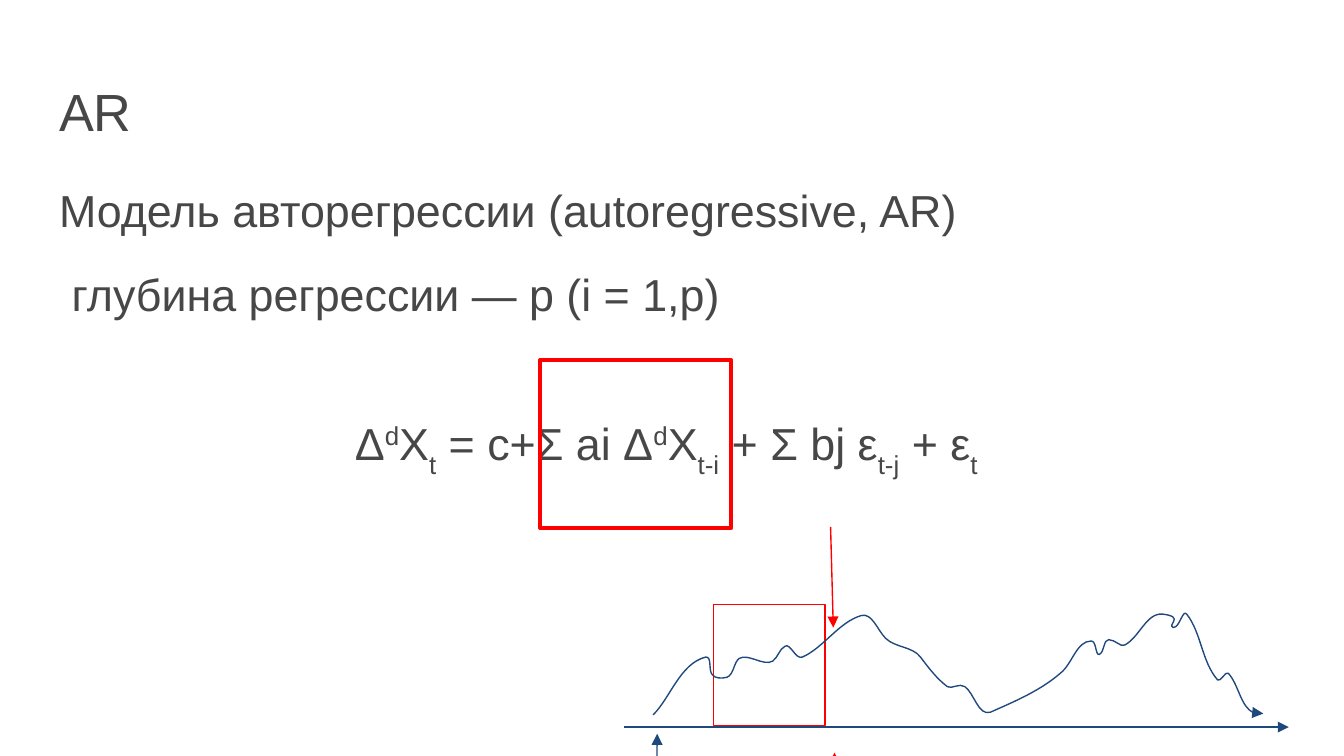
from dataclasses import dataclass

from lxml import etree
from pptx import Presentation
from pptx.dml.color import RGBColor
from pptx.enum.shapes import MSO_CONNECTOR, MSO_SHAPE
from pptx.enum.text import MSO_ANCHOR, MSO_AUTO_SIZE, PP_ALIGN
from pptx.oxml.ns import qn
from pptx.util import Inches, Pt

STRAIGHT = MSO_CONNECTOR.STRAIGHT
RECTANGLE = MSO_SHAPE.RECTANGLE
TOP = MSO_ANCHOR.TOP
NO_AUTOFIT = MSO_AUTO_SIZE.NONE
LEFT = PP_ALIGN.LEFT
UNITS_PER_INCH = 1000


@dataclass(frozen=True)
class Theme:
    font: str = "Arial"
    title_size: float = 28
    body_size: float = 24
    text: RGBColor = RGBColor(0x47, 0x47, 0x47)
    accent: RGBColor = RGBColor(0xFF, 0x00, 0x00)
    series: RGBColor = RGBColor(0x1F, 0x49, 0x7D)
    thin: float = 0.75
    thick: float = 2.25


@dataclass(frozen=True)
class Frame:
    left: float
    top: float
    width: float
    height: float
    weight: float


@dataclass(frozen=True)
class Arrow:
    start: tuple[float, float]
    end: tuple[float, float]
    color: RGBColor


THEME = Theme()

FORMULA = [
    ("Δ", 0), ("d", 33), ("X", 0), ("t", -33), (" = c+Σ ai Δ", 0), ("d", 33),
    ("X", 0), ("t-i", -33), (" + Σ bj ε", 0), ("t-j", -33), (" + ε", 0), ("t", -33),
]

FRAMES = [
    Frame(4.02, 2.68, 1.42, 1.25, THEME.thick),
    Frame(5.31, 4.5, 0.83, 0.9, THEME.thin),
]

ARROWS = [
    Arrow((4.88, 6.35), (4.89, 5.46), THEME.series),
    Arrow((4.64, 5.41), (9.59, 5.41), THEME.series),
    Arrow((6.18, 3.92), (6.2, 4.67), THEME.accent),
    Arrow((6.2, 5.86), (6.21, 5.6), THEME.accent),
]

SERIES_START = (4.86, 5.32)
SERIES_CURVES = [
    (4.99, 5.19, 5.06, 4.94, 5.25, 4.89), (5.3, 4.88, 5.27, 4.99, 5.3, 5.02),
    (5.32, 5.05, 5.37, 5.05, 5.41, 5.04), (5.46, 5.02, 5.46, 4.93, 5.5, 4.9),
    (5.57, 4.86, 5.68, 4.96, 5.75, 4.92), (5.79, 4.89, 5.8, 4.83, 5.84, 4.81),
    (5.88, 4.78, 5.92, 4.91, 5.97, 4.89), (6.13, 4.82, 6.24, 4.63, 6.41, 4.58),
    (6.49, 4.56, 6.53, 4.69, 6.59, 4.75), (6.66, 4.82, 6.79, 4.81, 6.85, 4.89),
    (6.91, 4.97, 6.97, 5.05, 7.05, 5.11), (7.08, 5.13, 7.14, 5.08, 7.18, 5.11),
    (7.25, 5.16, 7.28, 5.33, 7.37, 5.3), (7.55, 5.22, 7.74, 5.14, 7.89, 5.01),
    (7.98, 4.94, 8.01, 4.77, 8.12, 4.77), (8.16, 4.77, 8.15, 4.88, 8.18, 4.87),
    (8.22, 4.85, 8.21, 4.76, 8.25, 4.76), (8.3, 4.76, 8.34, 4.82, 8.37, 4.8),
    (8.48, 4.74, 8.53, 4.56, 8.65, 4.57), (8.82, 4.59, 8.68, 4.65, 8.73, 4.67),
    (8.78, 4.67, 8.8, 4.53, 8.83, 4.57), (8.94, 4.71, 8.94, 4.92, 9.06, 5.06),
    (9.08, 5.08, 9.12, 4.99, 9.14, 5.01), (9.22, 5.1, 9.23, 5.27, 9.34, 5.31),
    (9.36, 5.32, 9.39, 5.29, 9.4, 5.31),
]


def place_text(shape, top: float, height: float) -> None:
    shape.left, shape.top = Inches(0.34), Inches(top)
    shape.width, shape.height = Inches(9.32), Inches(height)
    frame = shape.text_frame
    frame.word_wrap = True
    frame.auto_size = NO_AUTOFIT
    frame.vertical_anchor = TOP
    frame.margin_left = frame.margin_right = Inches(0.1)
    frame.margin_top = frame.margin_bottom = Inches(0.1)


def write_paragraph(paragraph, pieces: list[tuple[str, int]], *, size: float,
                    before: float = 0, after: float = 0, indent: float = 0) -> None:
    paragraph.alignment = LEFT
    paragraph.line_spacing = 1.0
    paragraph.space_before, paragraph.space_after = Pt(before), Pt(after)
    properties = paragraph._p.get_or_add_pPr()
    properties.set("marL", str(Inches(indent)))
    properties.set("indent", "0")
    etree.SubElement(properties, qn("a:buNone"))
    for text, baseline in pieces:
        run = paragraph.add_run()
        run.text = text
        run.font.name = THEME.font
        run.font.size = Pt(size)
        run.font.color.rgb = THEME.text
        if baseline:
            run._r.get_or_add_rPr().set("baseline", str(baseline * 1000))


def style_line(shape, color: RGBColor, weight: float, arrow: bool = False) -> None:
    shape.line.color.rgb = color
    shape.line.width = Pt(weight)
    if arrow:
        etree.SubElement(shape.line._get_or_add_ln(), qn("a:tailEnd"), type="triangle")


def draw_frame(slide, frame: Frame) -> None:
    shape = slide.shapes.add_shape(RECTANGLE, Inches(frame.left), Inches(frame.top),
                                   Inches(frame.width), Inches(frame.height))
    shape.shadow.inherit = False
    shape.fill.background()
    style_line(shape, THEME.accent, frame.weight)


def draw_arrow(slide, arrow: Arrow) -> None:
    points = [Inches(value) for value in arrow.start + arrow.end]
    connector = slide.shapes.add_connector(STRAIGHT, *points)
    style_line(connector, arrow.color, THEME.thin, arrow=True)
    etree.SubElement(connector._element.spPr, qn("a:effectLst"))


def draw_series(slide) -> None:
    start = [value * UNITS_PER_INCH for value in SERIES_START]
    builder = slide.shapes.build_freeform(*start, scale=Inches(1) / UNITS_PER_INCH)
    points = [
        (curve[index] * UNITS_PER_INCH, curve[index + 1] * UNITS_PER_INCH)
        for curve in SERIES_CURVES for index in (0, 2, 4)
    ]
    builder.add_line_segments(points, close=False)
    shape = builder.convert_to_shape()
    segments = list(shape._element.iter(qn("a:lnTo")))
    for first in range(0, len(segments), 3):
        curve = etree.Element(qn("a:cubicBezTo"))
        segments[first].addprevious(curve)
        for segment in segments[first:first + 3]:
            curve.append(segment[0])
            segment.getparent().remove(segment)
    shape.shadow.inherit = False
    shape.fill.background()
    style_line(shape, THEME.series, THEME.thin, arrow=True)


def main() -> None:
    presentation = Presentation()
    presentation.slide_width = Inches(10)
    presentation.slide_height = presentation.slide_width * 9 // 16
    slide = presentation.slides.add_slide(presentation.slide_layouts[1])

    title, body = slide.placeholders
    place_text(title, 0.49, 0.63)
    write_paragraph(title.text_frame.paragraphs[0], [("AR", 0)], size=THEME.title_size)

    place_text(body, 1.26, 1.35)
    content = body.text_frame
    write_paragraph(content.paragraphs[0],
                    [("Модель авторегрессии (autoregressive, AR)", 0)],
                    size=THEME.body_size)
    write_paragraph(content.add_paragraph(), [(" глубина регрессии — р (i = 1,p)", 0)],
                    size=THEME.body_size, before=16, after=16)
    write_paragraph(content.add_paragraph(), FORMULA,
                    size=THEME.body_size, before=35, indent=2.2)

    for frame in FRAMES:
        draw_frame(slide, frame)
    for arrow in ARROWS:
        draw_arrow(slide, arrow)
    draw_series(slide)
    presentation.save("out.pptx")


if __name__ == "__main__":
    main()
